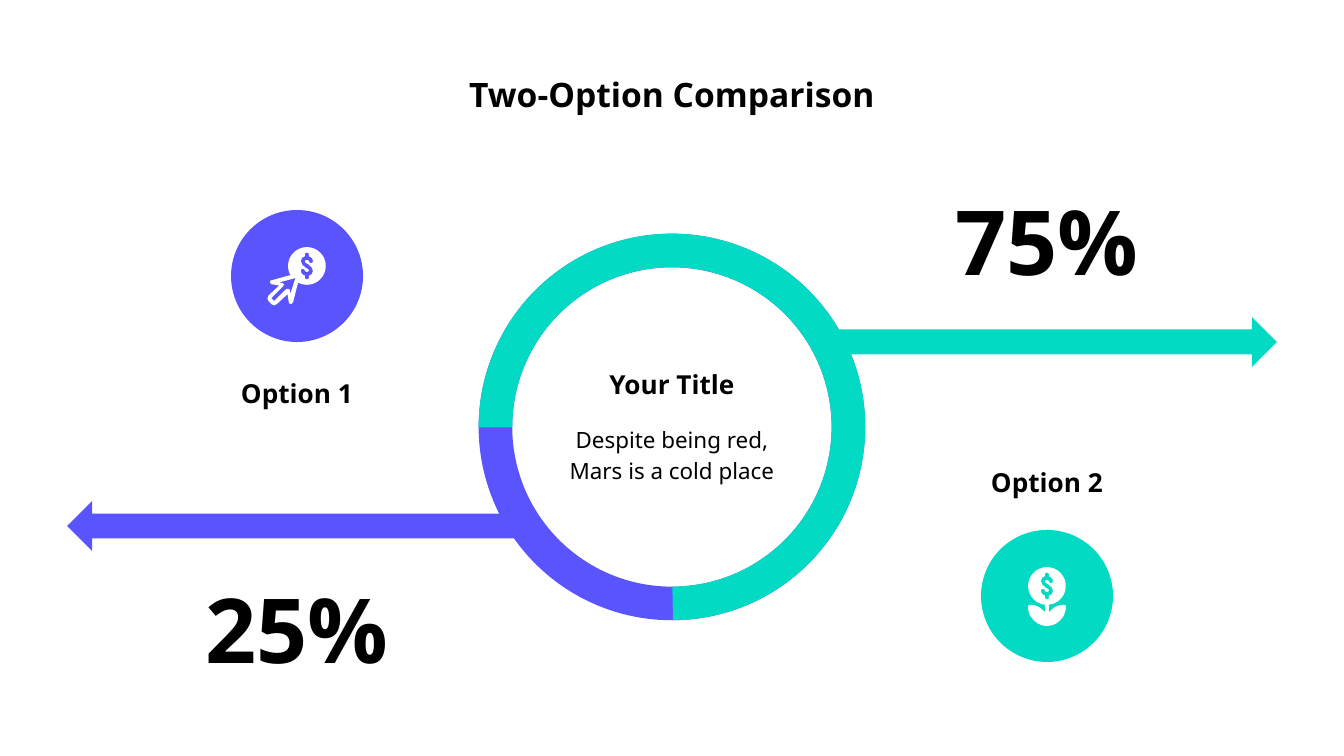
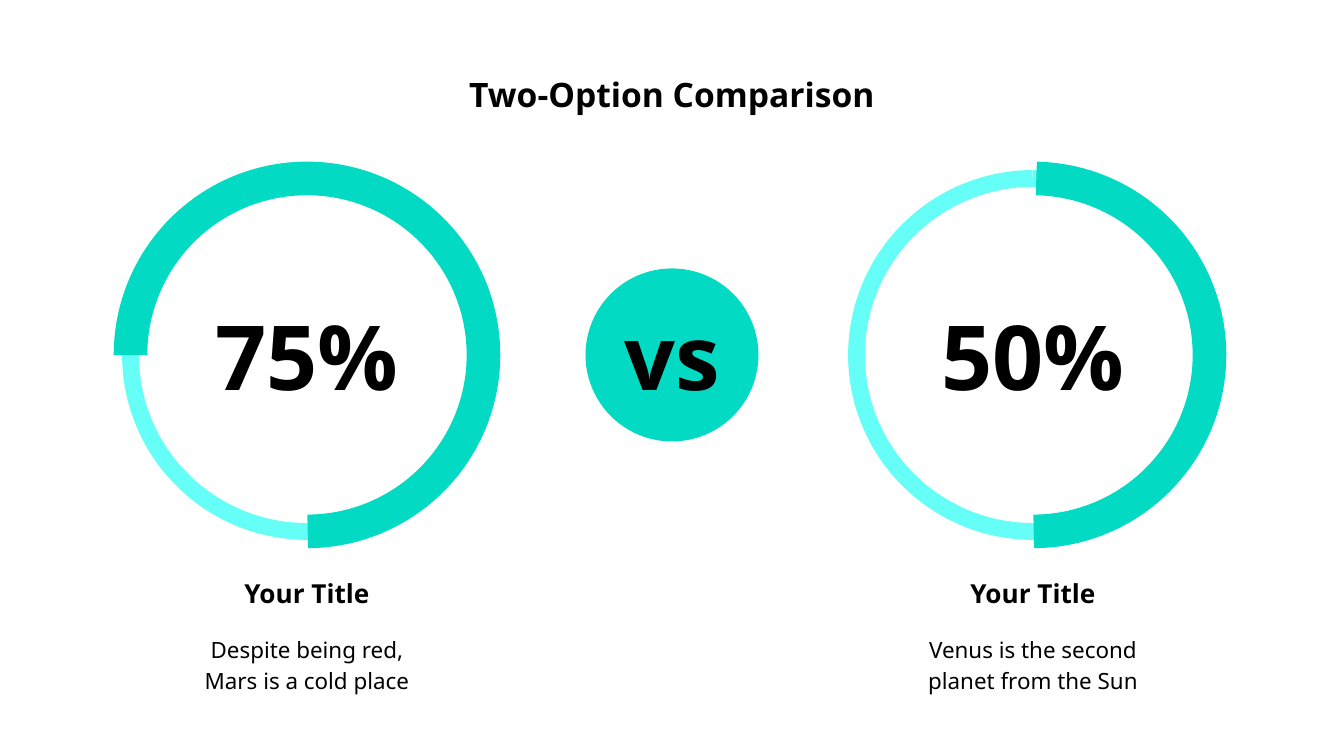
import math

import pptx
import pptx.util
import pptx.dml.color
import pptx.enum.shapes
import pptx.enum.text

PIXEL = 914400 / 134.4
ICON_UNIT = 9144
FONT = "Noto Sans"
COLORS = {"violet": "5A54FF", "teal": "03DAC4", "aqua": "66FFF7", "black": "000000", "white": "FFFFFF"}
SHAPES = pptx.enum.shapes.MSO_SHAPE

TITLE = "Two-Option Comparison"
MIDDLE_X = 672
RING_SIZE = 353
FULL_RING = (270, 269.9)
THREE_QUARTERS = (179.89, 89.77)
HALF = (271.08, 89.77)

TEXT_STYLES = {
    "title": {"size": (1210, 71), "points": 18, "bold": True, "spacing": 1},
    "value": {"size": (249, 87), "points": 48, "bold": True, "spacing": 1},
    "label": {"size": (173, 34), "points": 14, "bold": True, "spacing": 1},
    "body": {"size": (249, 67), "points": 12, "bold": False, "spacing": 1.15},
}

OPTIONS = [
    {"label": "Option 1", "value": "25%", "color": "violet", "x": 297, "circle_y": 276, "label_y": 393,
     "value_y": 628, "arrow": (297, 526), "rotation": 180, "icon": "pointer", "coin": (10, -10)},
    {"label": "Option 2", "value": "75%", "color": "teal", "x": 1047, "circle_y": 596, "label_y": 482,
     "value_y": 240, "arrow": (1047, 342), "rotation": 0, "icon": "flower", "coin": (0, -10)},
]
CENTER = {"label": "Your Title", "body": "Despite being red, Mars is a cold place"}
CONTENDERS = [
    {"x": 307, "value": "75%", "sweep": THREE_QUARTERS, "body": "Despite being red, Mars is a cold place"},
    {"x": 1033, "value": "50%", "sweep": HALF, "body": "Venus is the second planet from the Sun"},
]

COIN_RADIUS = 14
HALF_DOLLAR = [
    (0, -10), (1, -9.6), (1.5, -9), (1.5, -7.1), (3, -6.5), (4.2, -5), (4.5, -3.3), (4, -2.4),
    (3, -2.1), (2, -2.4), (1.6, -3.3), (1, -4.2), (0, -4.4), (-1, -4.2), (-1.5, -3.3), (-1, -2.3),
    (1, -1.3), (3.5, 1), (4.5, 3.6), (3.7, 6), (1.5, 7.3), (1.5, 9), (1, 9.6),
]
HALF_LEAVES = [
    (1.5, 19.5), (3.5, 17.5), (6, 15.6), (9, 14.4), (12, 14), (13.5, 14.2), (14.2, 15.2),
    (13.8, 18.5), (12.6, 22), (10, 25.4), (7, 27.8), (3.5, 29.3),
]
POINTER_EDGE = [
    (-10.3, 27), (-11.5, 28.3), (-13, 28), (-13.5, 27), (-14.4, 21), (-22.4, 28.4), (-24.4, 29.3),
    (-26.4, 28.4), (-28.6, 26.2), (-29.4, 24.2), (-28.6, 22), (-20.6, 14.6), (-26.5, 13.5),
    (-27.5, 12.4), (-27.3, 11), (-26.4, 10.7),
]
POINTER_HOLE = [
    (-8.5, 9), (-12.5, 21), (-12.7, 18), (-13.4, 17.2), (-14.5, 17), (-15.6, 17.4), (-24.4, 26),
    (-26.5, 24), (-17.6, 15), (-17, 13.7), (-17.8, 12.9), (-20.5, 12.2),
]


def coin_edge(start, end, steps=60):
    angles = [math.radians(start + (end - start) * step / steps) for step in range(steps + 1)]
    return [(COIN_RADIUS * math.cos(angle), COIN_RADIUS * math.sin(angle)) for angle in angles]


DOLLAR = HALF_DOLLAR + [(-x, -y) for x, y in HALF_DOLLAR]
LEAVES = HALF_LEAVES + [(0, 29.8)] + [(-x, y) for x, y in reversed(HALF_LEAVES)]
ICONS = {
    "pointer": [coin_edge(151, 478) + POINTER_EDGE, DOLLAR, POINTER_HOLE],
    "flower": [coin_edge(96, 444) + LEAVES, DOLLAR],
}


def emu(pixels):
    return round(pixels * PIXEL)


def rgb(name):
    return pptx.dml.color.RGBColor.from_string(COLORS[name])


def centered_box(x, y, width, height):
    return [emu(length) for length in (x - width / 2, y - height / 2, width, height)]


def paint(shape, color):
    shape.shadow.inherit = False
    shape.fill.solid()
    shape.fill.fore_color.rgb = rgb(color)
    shape.line.fill.background()


def add_solid(slide, kind, x, y, size, color):
    shape = slide.shapes.add_shape(kind, *centered_box(x, y, *size))
    paint(shape, color)
    return shape


def add_circle(slide, x, y, diameter, color):
    add_solid(slide, SHAPES.OVAL, x, y, (diameter, diameter), color)


def add_ring(slide, x, y, sweep, color, width):
    shape = slide.shapes.add_shape(SHAPES.ARC, *centered_box(x, y, RING_SIZE, RING_SIZE))
    for index, degrees in enumerate(sweep):
        shape.adjustments[index] = degrees * 0.6
    shape.shadow.inherit = False
    shape.fill.background()
    shape.line.color.rgb = rgb(color)
    shape.line.width = pptx.util.Pt(width)


def add_text(slide, text, style_name, x, y):
    style = TEXT_STYLES[style_name]
    frame = slide.shapes.add_textbox(*centered_box(x, y, *style["size"])).text_frame
    frame.word_wrap = True
    frame.margin_left = frame.margin_right = frame.margin_top = frame.margin_bottom = pptx.util.Inches(0.1)
    anchors = pptx.enum.text.MSO_ANCHOR
    frame.vertical_anchor = anchors.TOP if style_name == "title" else anchors.MIDDLE
    paragraph = frame.paragraphs[0]
    paragraph.text = text
    paragraph.alignment = pptx.enum.text.PP_ALIGN.CENTER
    paragraph.line_spacing = style["spacing"]
    paragraph.font.name = FONT
    paragraph.font.size = pptx.util.Pt(style["points"])
    paragraph.font.bold = style["bold"]
    paragraph.font.color.rgb = rgb("black")


def add_icon(slide, name, x, y):
    builder = None
    for contour in ICONS[name]:
        points = [(emu(x) + round(dx * ICON_UNIT), emu(y) + round(dy * ICON_UNIT)) for dx, dy in contour]
        if builder is None:
            builder = slide.shapes.build_freeform(*points[0])
        else:
            builder.move_to(*points[0])
        builder.add_line_segments(points[1:], close=True)
    paint(builder.convert_to_shape(), "white")


def add_slide(presentation):
    slide = presentation.slides.add_slide(presentation.slide_layouts[6])
    slide.background.fill.solid()
    slide.background.fill.fore_color.rgb = rgb("white")
    add_text(slide, TITLE, "title", MIDDLE_X, 96)
    return slide


def build_arrows_slide(presentation):
    slide = add_slide(presentation)
    add_ring(slide, MIDDLE_X, 427, FULL_RING, "violet", 18)
    add_ring(slide, MIDDLE_X, 427, THREE_QUARTERS, "teal", 18)
    add_text(slide, CENTER["label"], "label", MIDDLE_X, 384)
    add_text(slide, CENTER["body"], "body", MIDDLE_X, 453)
    for option in OPTIONS:
        x, circle_y = option["x"], option["circle_y"]
        add_circle(slide, x, circle_y, 132, option["color"])
        arrow = add_solid(slide, SHAPES.RIGHT_ARROW, *option["arrow"], (460, 50), option["color"])
        arrow.rotation = option["rotation"]
        add_text(slide, option["value"], "value", x, option["value_y"])
        add_text(slide, option["label"], "label", x, option["label_y"])
        shift_x, shift_y = option["coin"]
        add_icon(slide, option["icon"], x + shift_x, circle_y + shift_y)


def build_versus_slide(presentation):
    slide = add_slide(presentation)
    ring_y = 355
    add_circle(slide, MIDDLE_X, ring_y, 173, "teal")
    add_text(slide, "vs", "value", MIDDLE_X, ring_y)
    for contender in CONTENDERS:
        x = contender["x"]
        add_ring(slide, x, ring_y, FULL_RING, "aqua", 9)
        add_ring(slide, x, ring_y, contender["sweep"], "teal", 18)
        add_text(slide, contender["value"], "value", x, ring_y)
        add_text(slide, "Your Title", "label", x, 593)
        add_text(slide, contender["body"], "body", x, 663)


presentation = pptx.Presentation()
presentation.slide_width = emu(1344)
presentation.slide_height = emu(756)
build_arrows_slide(presentation)
build_versus_slide(presentation)
presentation.save("out.pptx")
